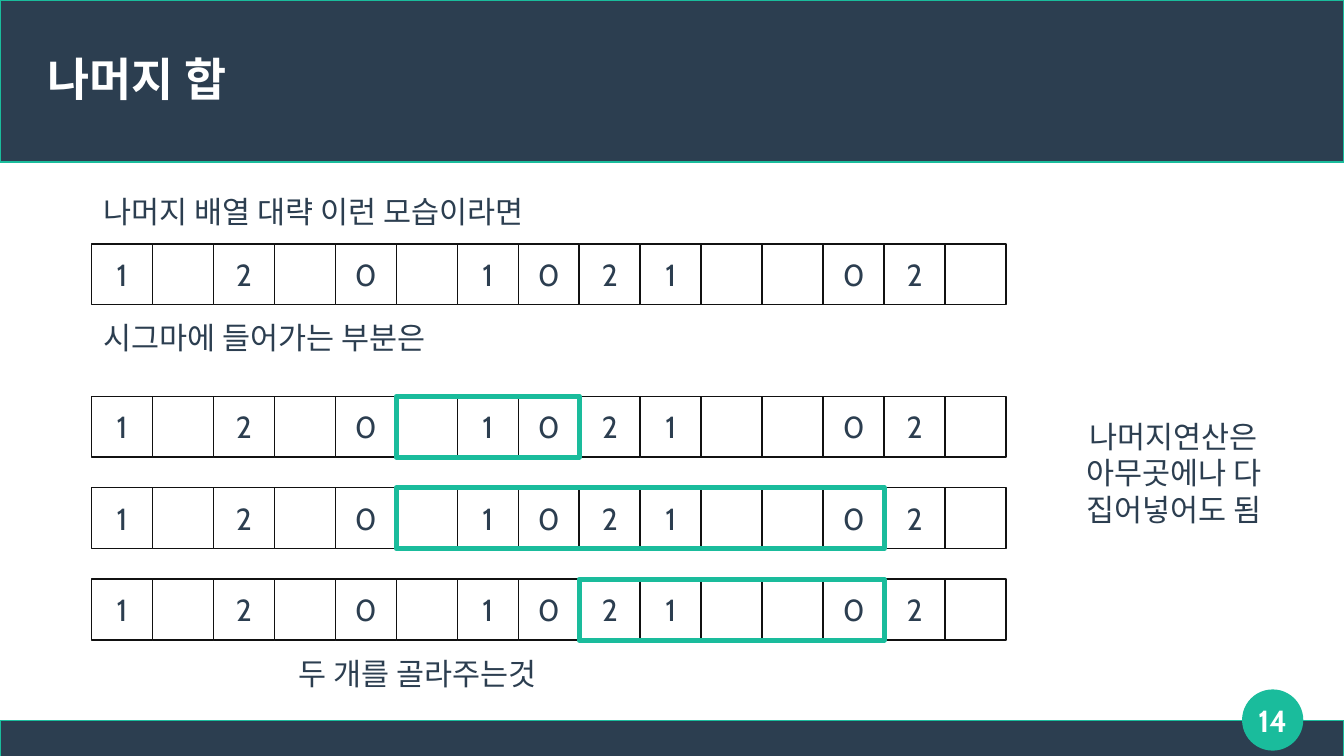
"""Build the slide that shows which parts of a remainder array enter the sum."""
from dataclasses import dataclass

from pptx import Presentation
from pptx import util as u
from pptx.dml.color import RGBColor
from pptx.enum import shapes, text


@dataclass(frozen=True)
class Theme:
    navy: RGBColor = RGBColor.from_string("2C3E50")
    green: RGBColor = RGBColor.from_string("1ABC9C")
    white: RGBColor = RGBColor.from_string("FFFFFF")
    black: RGBColor = RGBColor.from_string("111111")
    font: str = "Cabin"
    title_size: u.Pt = u.Pt(27)
    body_size: u.Pt = u.Pt(18)
    thin: u.Pt = u.Pt(0.85)
    thick: u.Pt = u.Pt(3)


THEME = Theme()
RECTANGLE = shapes.MSO_SHAPE.RECTANGLE
OVAL = shapes.MSO_SHAPE.OVAL
FIXED = text.MSO_AUTO_SIZE.NONE
GROW = text.MSO_AUTO_SIZE.SHAPE_TO_FIT_TEXT
WIDTH, HEIGHT = 11.02, 6.2
CELL, ARRAY_LEFT = 0.5, 0.75
REMAINDERS = ["1", "", "2", "", "0", "", "1", "0", "2", "1", "", "", "0", "2", ""]
ARRAY_TOPS = [2, 3.25, 4, 4.75]
SELECTIONS = [(3.25, 5, 8), (4, 5, 13), (4.75, 8, 13)]
CAPTIONS = [
    ("나머지 배열 대략 이런 모습이라면", (0.67, 1.5, 3.8, 0.46)),
    ("시그마에 들어가는 부분은", (0.75, 2.54, 2.84, 0.46)),
    ("두 개를 골라주는것", (2.35, 5.29, 2.15, 0.46)),
]


def set_values(target, values):
    for name, value in values.items():
        setattr(target, name, value)


def write(shape, lines, wrap=False, inset=True, fit=FIXED,
          align=text.PP_ALIGN.CENTER, **font):
    frame = shape.text_frame
    set_values(frame, {"word_wrap": wrap, "auto_size": fit,
                       "vertical_anchor": text.MSO_ANCHOR.MIDDLE})
    if not inset:
        set_values(frame, dict.fromkeys(
            ("margin_left", "margin_right", "margin_top", "margin_bottom"), 0))
    frame.text = "\n".join(lines)
    style = {"name": THEME.font, "size": THEME.body_size} | font
    color = style.pop("color", THEME.navy)
    for paragraph in frame.paragraphs:
        paragraph.alignment = align
        set_values(paragraph.font, style)
        paragraph.font.color.rgb = color


def add_text(slide, box, lines, **style):
    shape = slide.shapes.add_textbox(*map(u.Inches, box))
    write(shape, lines, **style)


def add_box(slide, box, fill=None, line=THEME.green, width=THEME.thin, kind=RECTANGLE):
    shape = slide.shapes.add_shape(kind, *map(u.Inches, box))
    shape.shadow.inherit = False
    if fill is None:
        shape.fill.background()
    else:
        shape.fill.solid()
        shape.fill.fore_color.rgb = fill
    shape.line.color.rgb = line
    shape.line.width = width
    return shape


def add_array(slide, top):
    for index, remainder in enumerate(REMAINDERS):
        box = (ARRAY_LEFT + index * CELL, top, CELL, CELL)
        cell = add_box(slide, box, THEME.white, THEME.black)
        if remainder:
            write(cell, [remainder])


def add_selection(slide, top, start, end):
    box = (ARRAY_LEFT + start * CELL, top, (end - start) * CELL, CELL)
    add_box(slide, box, width=THEME.thick)


def add_frame(slide):
    add_box(slide, (0, 5.91, WIDTH, 0.3), THEME.navy)
    add_box(slide, (0, 0, WIDTH, 1.33), THEME.navy)
    add_box(slide, (10.19, 5.66, 0.49, 0.49), THEME.green, kind=OVAL)
    heading = {"wrap": True, "inset": False, "bold": True, "color": THEME.white}
    add_text(slide, (0.39, 0.25, 10.24, 0.79), ["나머지 합"],
             align=text.PP_ALIGN.LEFT, size=THEME.title_size, **heading)
    add_text(slide, (10.04, 5.66, 0.79, 0.49), ["14"], **heading)


def main():
    presentation = Presentation()
    set_values(presentation, {"slide_width": u.Inches(WIDTH),
                              "slide_height": u.Inches(HEIGHT)})
    slide = presentation.slides.add_slide(presentation.slide_layouts[6])
    add_frame(slide)
    for top in ARRAY_TOPS:
        add_array(slide, top)
    for selection in SELECTIONS:
        add_selection(slide, *selection)
    for caption, box in CAPTIONS:
        add_text(slide, box, [caption], fit=GROW)
    add_text(slide, (8.75, 3.25, 1.75, 1.25),
             ["나머지연산은", "아무곳에나 다 집어넣어도 됨"], wrap=True)
    presentation.save("out.pptx")


if __name__ == "__main__":
    main()
